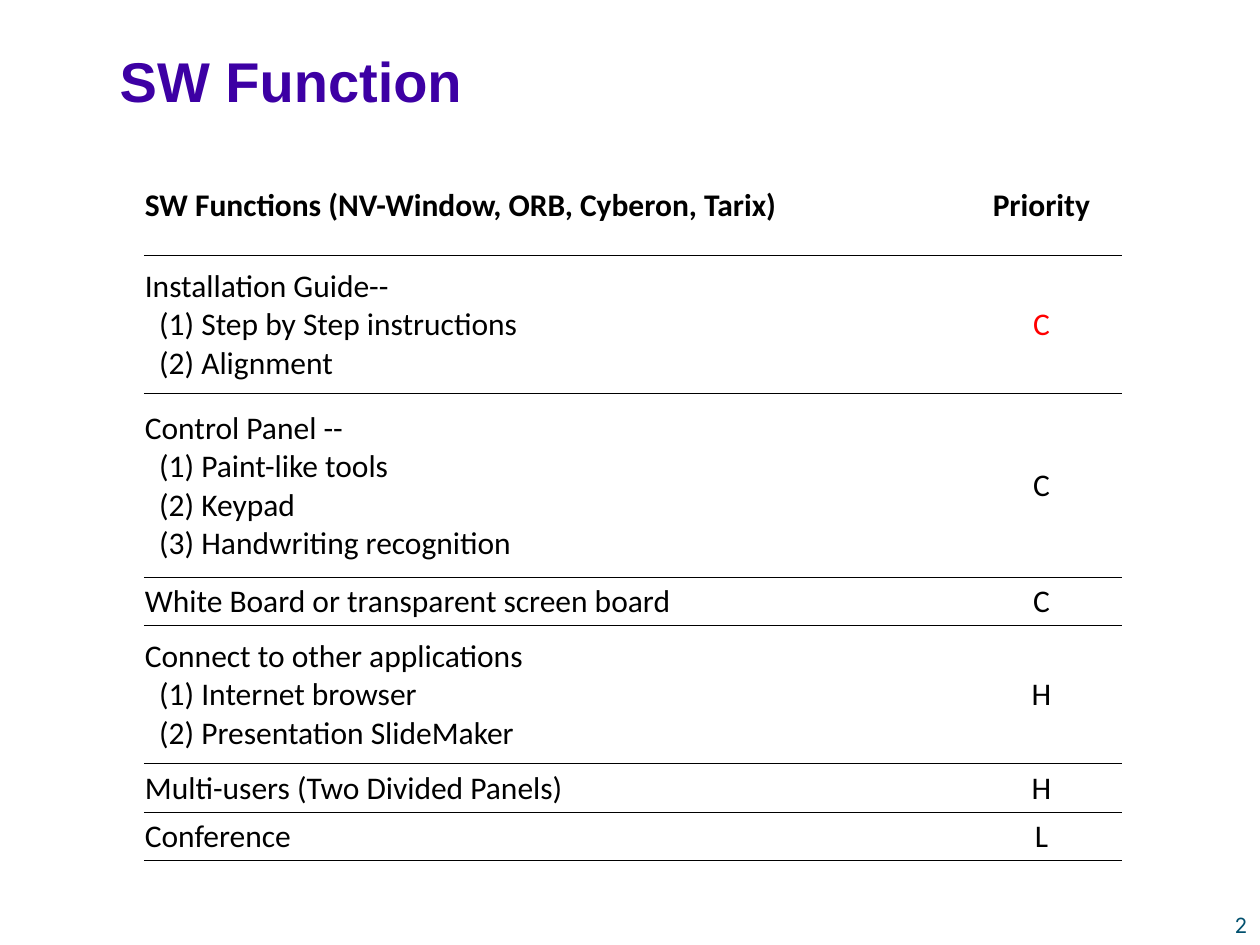
from dataclasses import dataclass

from lxml.etree import SubElement
from pptx import Presentation
from pptx.dml.color import RGBColor
from pptx.enum.text import MSO_ANCHOR, PP_ALIGN
from pptx.oxml import parse_xml
from pptx.oxml.ns import nsdecls, qn
from pptx.util import Cm, Pt

TITLE = "SW Function"
PAGE_NUMBER = "2"
HEADINGS = ("SW Functions (NV-Window, ORB, Cyberon, Tarix)", "Priority")
# Function, numbered details, priority
FUNCTIONS = [
    ("Installation Guide--", ["Step by Step instructions", "Alignment"], "C"),
    ("Control Panel --",
     ["Paint-like tools", "Keypad", "Handwriting recognition"], "C"),
    ("White Board or transparent screen board", [], "C"),
    ("Connect to other applications",
     ["Internet browser", "Presentation SlideMaker"], "H"),
    ("Multi-users (Two Divided Panels)", [], "H"),
    ("Conference", [], "L"),
]
URGENT_ROW = 1

COLUMN_WIDTHS = (Cm(16.48), Cm(3.23))
HEADING_HEIGHT = Cm(2.03)
SINGLE_LINE_HEIGHT = Cm(0.97)
EXTRA_LINE_HEIGHT = Cm(0.91)
DETAIL_INDENT = Cm(0.29)
PLAIN_TABLE_STYLE = "{2D5ABB26-0587-4C30-8999-92F81FD0307C}"


@dataclass(frozen=True)
class Theme:
    """Fonts, type sizes and colours of the slide."""
    title_font: str = "Arial"
    body_font: str = "Calibri"
    number_font: str = "Inter"
    title_size: Pt = Pt(32)
    body_size: Pt = Pt(18)
    number_size: Pt = Pt(12)
    title_color: str = "3D00A4"
    body_color: str = "000000"
    urgent_color: str = "FF0000"
    number_color: str = "00506E"
    rule_color: str = "000000"
    rule_width: Pt = Pt(0.5)


THEME = Theme()


def format_text(frame, font, size, color, bold=False, align=PP_ALIGN.LEFT):
    """Apply one type style to all the text of a frame."""
    for paragraph in frame.paragraphs:
        paragraph.alignment = align
        for run in paragraph.runs:
            run.font.name = font
            run.font.size = size
            run.font.bold = bold
            run.font.color.rgb = RGBColor.from_string(color)


def add_title(slide):
    """Place and style the title placeholder."""
    title = slide.shapes.title
    title.left, title.top = Cm(2.16), Cm(0.61)
    title.width, title.height = Cm(21.97), Cm(2.03)
    title.text_frame.text = TITLE
    title.text_frame.vertical_anchor = MSO_ANCHOR.MIDDLE
    format_text(title.text_frame, THEME.title_font, THEME.title_size,
                THEME.title_color, bold=True)


def add_page_number(slide):
    """Put the page number in the bottom right corner."""
    box = slide.shapes.add_textbox(Cm(24.64), Cm(18.39), Cm(0.76), Cm(0.58))
    frame = box.text_frame
    frame.word_wrap = True
    frame.margin_left = frame.margin_right = 0
    frame.margin_top = frame.margin_bottom = 0
    frame.text = PAGE_NUMBER
    format_text(frame, THEME.number_font, THEME.number_size,
                THEME.number_color, align=PP_ALIGN.CENTER)


def add_bottom_rule(cell):
    """Draw a thin line under a cell."""
    rule = parse_xml(f'<a:lnB {nsdecls("a")} w="{THEME.rule_width}"/>')
    fill = SubElement(rule, qn("a:solidFill"))
    SubElement(fill, qn("a:srgbClr"), val=THEME.rule_color)
    cell._tc.get_or_add_tcPr().insert(0, rule)


def fill_cell(cell, lines, color, bold, align):
    """Write a cell; lines after the first are indented."""
    cell.fill.background()
    cell.vertical_anchor = MSO_ANCHOR.MIDDLE
    cell.margin_left = cell.margin_right = cell.margin_top = Cm(0.02)
    cell.margin_bottom = 0
    cell.text_frame.text = "\n".join(lines)
    format_text(cell.text_frame, THEME.body_font, THEME.body_size,
                color, bold, align)
    for detail in cell.text_frame.paragraphs[1:]:
        detail._p.get_or_add_pPr().set("marL", str(DETAIL_INDENT))
    add_bottom_rule(cell)


def add_function_table(slide):
    """Build the table of functions and priorities."""
    entries = [([HEADINGS[0]], HEADINGS[1])]
    for name, details, priority in FUNCTIONS:
        numbered = [f"({n}) {text}" for n, text in enumerate(details, 1)]
        entries.append(([name, *numbered], priority))
    heights = [HEADING_HEIGHT] + [
        SINGLE_LINE_HEIGHT + EXTRA_LINE_HEIGHT * (len(lines) - 1)
        for lines, _ in entries[1:]]

    table = slide.shapes.add_table(
        len(entries), len(COLUMN_WIDTHS), Cm(2.9), Cm(3.12),
        sum(COLUMN_WIDTHS), sum(heights)).table
    table.horz_banding = False
    table._tbl.tblPr.find(qn("a:tableStyleId")).text = PLAIN_TABLE_STYLE
    for column, width in zip(table.columns, COLUMN_WIDTHS):
        column.width = width
    for index, (lines, priority) in enumerate(entries):
        table.rows[index].height = heights[index]
        heading = index == 0
        priority_color = (THEME.urgent_color if index == URGENT_ROW
                          else THEME.body_color)
        fill_cell(table.cell(index, 0), lines, THEME.body_color,
                  heading, PP_ALIGN.LEFT)
        fill_cell(table.cell(index, 1), [priority], priority_color,
                  heading, PP_ALIGN.CENTER)


def main():
    """Build the slide and save it."""
    deck = Presentation()
    deck.slide_width, deck.slide_height = Cm(25.4), Cm(19.05)
    slide = deck.slides.add_slide(deck.slide_layouts.get_by_name("Title Only"))
    add_page_number(slide)
    add_title(slide)
    add_function_table(slide)
    deck.save("out.pptx")


main()
